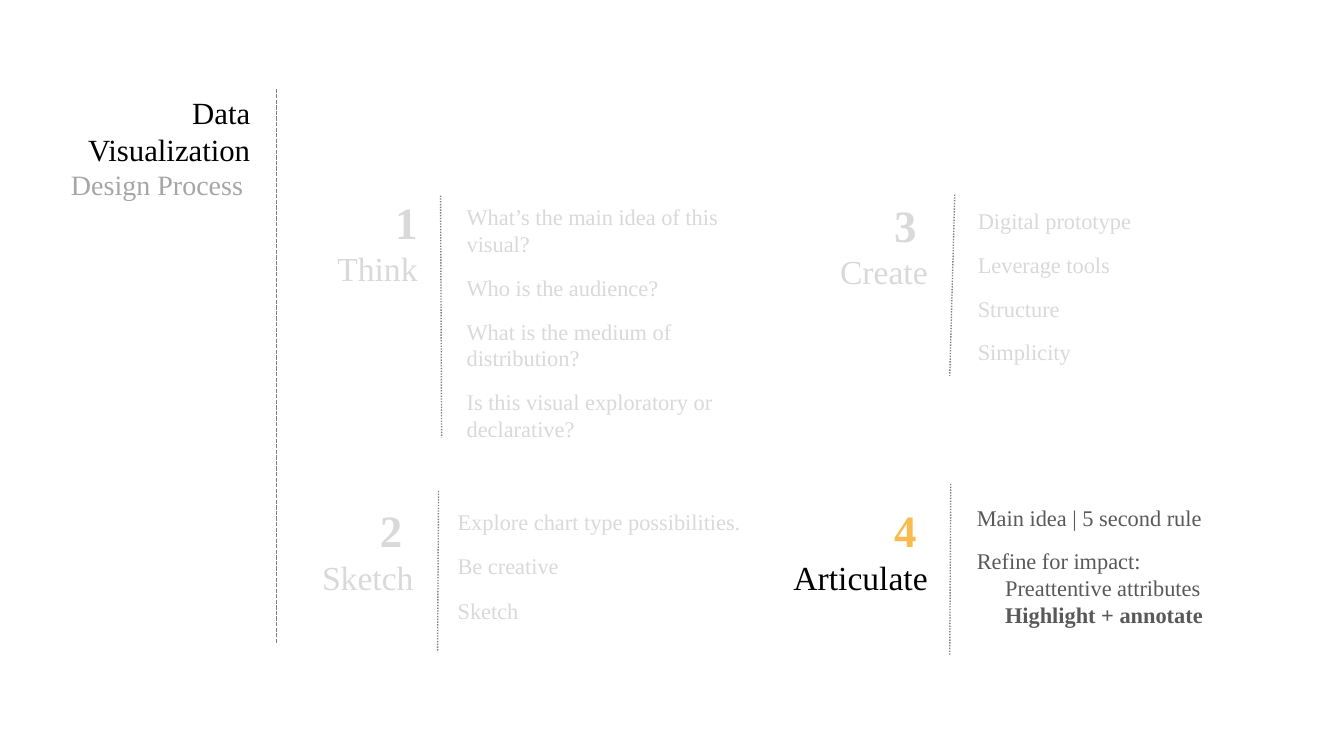
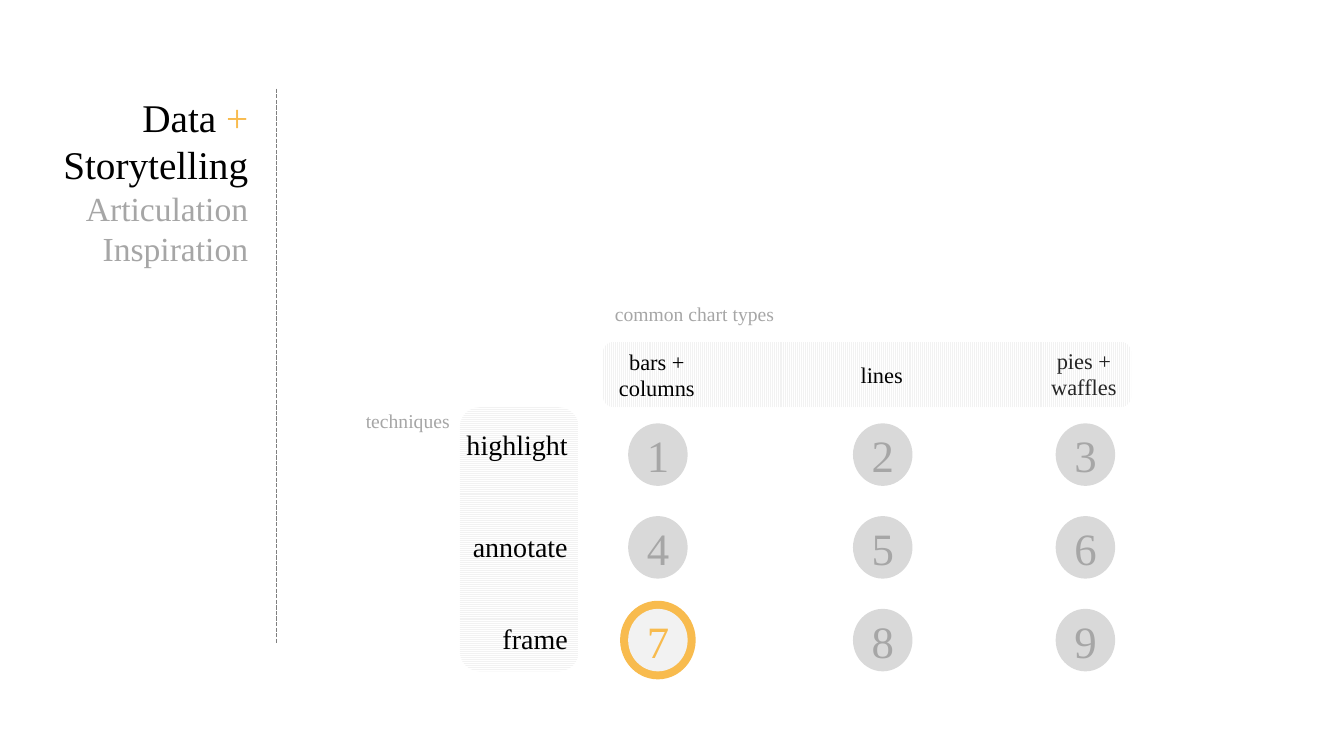
from dataclasses import dataclass

from lxml.etree import SubElement
from pptx import Presentation
from pptx.dml.color import RGBColor
from pptx.enum.dml import MSO_LINE, MSO_PATTERN
from pptx.enum.shapes import MSO_CONNECTOR, MSO_SHAPE
from pptx.enum.text import MSO_ANCHOR, MSO_AUTO_SIZE, PP_ALIGN
from pptx.oxml.ns import qn
from pptx.util import Inches, Pt


@dataclass(frozen=True)
class Theme:
    font: str = "Times New Roman"
    black: str = "000000"
    charcoal: str = "262626"
    dark: str = "595959"
    rule: str = "808080"
    gray: str = "A6A6A6"
    faded: str = "D9D9D9"
    pale: str = "F2F2F2"
    white: str = "FFFFFF"
    accent: str = "F8BB4E"
    number: int = 32
    title: int = 28
    heading: int = 24
    small_title: int = 22
    label: int = 20
    body: int = 16
    caption: int = 14


THEME = Theme()


@dataclass(frozen=True)
class Span:
    text: str
    size: int
    color: str
    bold: bool = False


@dataclass(frozen=True)
class Line:
    """One paragraph: its spans, the gap above in points, the indent in inches."""
    spans: tuple
    gap: float = 0
    indent: float = 0


def line(text, size, color, bold=False, gap=0, indent=0):
    return Line((Span(text, size, color, bold),), gap, indent)


def rgb(color):
    return RGBColor.from_string(color)


class Painter:
    def __init__(self, deck):
        self.deck = deck
        self.page = None

    def new_page(self, title, title_at):
        """Start a slide with its right-aligned title and the dashed divider."""
        self.page = self.deck.slides.add_slide(self.deck.slide_layouts[6])
        self.rule((2.74, 0.88), (2.74, 6.38), MSO_LINE.SQUARE_DOT)
        self.text(title_at, title, PP_ALIGN.RIGHT)

    def fill_frame(self, frame, lines, align):
        for index, item in enumerate(lines):
            para = frame.paragraphs[0] if index == 0 else frame.add_paragraph()
            para.alignment = align
            para.space_before = Pt(item.gap)
            if item.indent:
                para._p.get_or_add_pPr().set("marL", str(Inches(item.indent)))
            for part in item.spans:
                span = para.add_run()
                span.text = part.text
                span.font.name = THEME.font
                span.font.size = Pt(part.size)
                span.font.bold = part.bold
                span.font.color.rgb = rgb(part.color)

    def text(self, at, lines, align=PP_ALIGN.LEFT):
        box = self.page.shapes.add_textbox(*map(Inches, at))
        box.text_frame.word_wrap = True
        box.text_frame.auto_size = MSO_AUTO_SIZE.SHAPE_TO_FIT_TEXT
        self.fill_frame(box.text_frame, lines, align)

    def rule(self, start, end, dash=MSO_LINE.ROUND_DOT):
        rule = self.page.shapes.add_connector(
            MSO_CONNECTOR.STRAIGHT, *map(Inches, start + end))
        rule.line.color.rgb = rgb(THEME.rule)
        rule.line.width = Pt(1)
        rule.line.dash_style = dash
        SubElement(rule._element.spPr, qn("a:effectLst"))

    def shape(self, kind, at):
        shape = self.page.shapes.add_shape(kind, *map(Inches, at))
        shape.shadow.inherit = False
        shape.line.fill.background()
        return shape

    def band(self, at, pattern):
        fill = self.shape(MSO_SHAPE.ROUNDED_RECTANGLE, at).fill
        fill.patterned()
        fill.pattern = pattern
        fill.fore_color.rgb = rgb(THEME.pale)
        fill.back_color.rgb = rgb(THEME.white)

    def disc(self, at, fill, lines=()):
        disc = self.shape(MSO_SHAPE.OVAL, at)
        disc.fill.solid()
        disc.fill.fore_color.rgb = rgb(fill)
        disc.text_frame.vertical_anchor = MSO_ANCHOR.MIDDLE
        self.fill_frame(disc.text_frame, lines, PP_ALIGN.CENTER)

    def step(self, number, name, name_at, notes, notes_at, rule,
             number_color=THEME.faded, name_color=THEME.faded):
        self.text(notes_at, notes)
        self.text(name_at, [line(number, THEME.number, number_color, True),
                            line(name, THEME.heading, name_color)], PP_ALIGN.RIGHT)
        self.rule(*rule)


def faded_notes(*texts, gap=12):
    return [line(text, THEME.body, THEME.faded, gap=gap if index else 0)
            for index, text in enumerate(texts)]


def design_process(painter):
    painter.new_page([line("Data Visualization", THEME.small_title, THEME.black),
                      line("Design Process ", THEME.label, THEME.gray)],
                     (0.54, 0.88, 2.04, 1.18))
    painter.step("1", "Think", (1.86, 1.88, 2.38, 1.04),
                 faded_notes("What’s the main idea of this visual?",
                             "Who is the audience?",
                             "What is the medium of distribution?",
                             "Is this visual exploratory or declarative?"),
                 (4.53, 1.97, 2.93, 3.03), ((4.37, 1.94), (4.38, 4.34)))
    painter.step("2 ", "Sketch", (1.74, 4.94, 2.46, 1.04),
                 faded_notes("Explore chart type possibilities.",
                             "Be creative", "Sketch", gap=12.5),
                 (4.44, 4.99, 3.18, 1.53), ((4.35, 4.87), (4.34, 6.47)))
    painter.step("3 ", "Create", (8.04, 1.91, 1.26, 1.04),
                 faded_notes("Digital prototype", "Leverage tools",
                             "Structure", "Simplicity"),
                 (9.6, 2.01, 3.5, 1.95), ((9.47, 1.93), (9.42, 3.73)))
    refine = [line("Main idea | 5 second rule", THEME.body, THEME.dark),
              line("Refine for impact:", THEME.body, THEME.dark, gap=12),
              line("Preattentive attributes", THEME.body, THEME.dark, indent=0.28),
              line("Highlight + annotate", THEME.body, THEME.dark, True, indent=0.28)]
    painter.step("4 ", "Articulate", (7.58, 4.94, 1.72, 1.04),
                 refine, (9.59, 4.95, 3.18, 1.35), ((9.43, 4.8), (9.42, 6.5)),
                 THEME.accent, THEME.black)


def number_grid(painter):
    """Nine numbered discs, the chosen one with a ring around it."""
    lefts, top, pitch = (6.23, 8.46, 10.47), 4.2, 0.92
    width, height, ring, chosen = 0.59, 0.62, 0.08, 7
    for index in range(9):
        row, column = divmod(index, len(lefts))
        left, disc_top = lefts[column], top + row * pitch
        number = index + 1
        fill, color = THEME.faded, THEME.gray
        if number == chosen:
            fill, color = THEME.pale, THEME.accent
            painter.disc((left - ring, disc_top - ring,
                          width + 2 * ring, height + 2 * ring), THEME.accent)
        painter.disc((left, disc_top, width, height), fill,
                     [line(str(number), THEME.number, color)])


def articulation_inspiration(painter):
    painter.new_page([Line((Span("Data ", THEME.title, THEME.black),
                            Span("+", THEME.title, THEME.accent))),
                      line("Storytelling", THEME.title, THEME.black),
                      line("Articulation Inspiration", THEME.heading, THEME.gray)],
                     (0.41, 0.88, 2.15, 1.85))
    painter.band((5.98, 3.39, 5.24, 0.65), MSO_PATTERN.LIGHT_VERTICAL)
    painter.band((4.56, 4.04, 1.18, 2.62), MSO_PATTERN.LIGHT_HORIZONTAL)
    for caption, at in (("techniques", (3.53, 4.01, 1.66, 0.34)),
                        ("common chart types", (6, 2.95, 2.46, 0.34))):
        painter.text(at, [line(caption, THEME.caption, THEME.gray)])
    for technique, top in (("highlight", 4.19), ("annotate", 5.2), ("frame", 6.12)):
        painter.text((4.28, top, 1.45, 0.44),
                     [line(technique, THEME.label, THEME.black)], PP_ALIGN.RIGHT)
    for chart_type, at, color in (
            ("bars + columns", (5.95, 3.4, 1.13, 0.64), THEME.black),
            ("lines", (8.1, 3.53, 1.29, 0.37), THEME.black),
            ("pies + waffles", (10.19, 3.39, 1.12, 0.64), THEME.charcoal)):
        painter.text(at, [line(chart_type, THEME.body, color)], PP_ALIGN.CENTER)
    number_grid(painter)


def main():
    deck = Presentation()
    deck.slide_width, deck.slide_height = Inches(13.33), Inches(7.5)
    painter = Painter(deck)
    design_process(painter)
    articulation_inspiration(painter)
    deck.save("out.pptx")


if __name__ == "__main__":
    main()
